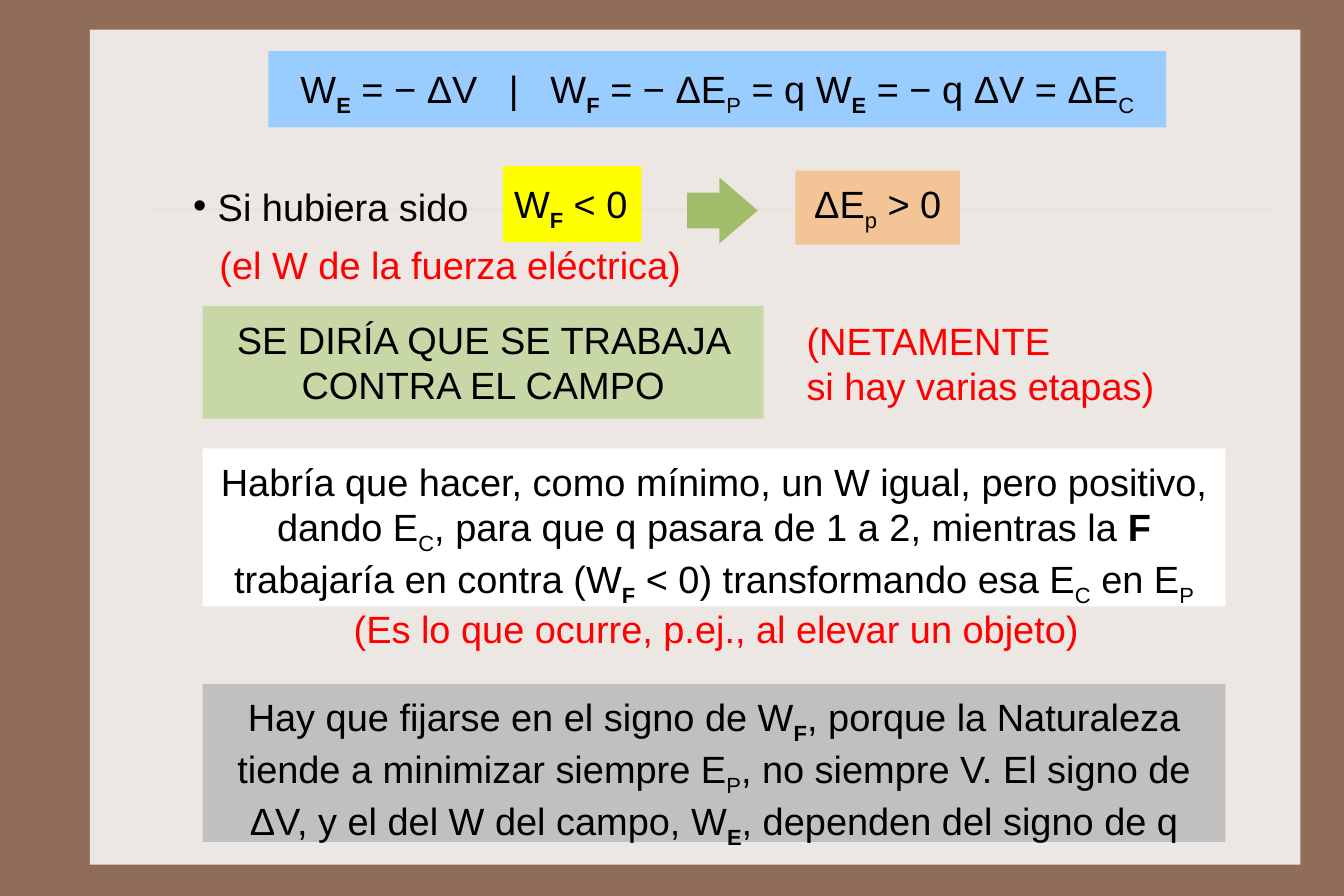
"""Builds the slide on the sign of the work done by the electric force."""
from dataclasses import dataclass
from typing import NamedTuple, Optional

from lxml.etree import SubElement
from pptx import Presentation
from pptx.dml.color import RGBColor
from pptx.enum.shapes import MSO_CONNECTOR, MSO_SHAPE
from pptx.enum.text import MSO_ANCHOR, PP_ALIGN
from pptx.oxml.ns import qn
from pptx.shapes.autoshape import Shape
from pptx.slide import Slide
from pptx.util import Pt


@dataclass(frozen=True)
class Theme:
    """Colours and type of the slide."""
    font: str = "Arial"
    size: float = 24
    ink: str = "000000"
    aside: str = "FF0000"
    frame: str = "906D58"
    paper: str = "EDE7E3"
    rule: str = "CBBD83"
    formula: str = "99CCFF"
    condition: str = "FFFF00"
    result: str = "F3C495"
    arrow: str = "A1BD69"
    conclusion: str = "C7D7A5"
    explanation: str = "FFFFFF"
    warning: str = "C0C0C0"


class Run(NamedTuple):
    """A stretch of text with its own weight and baseline."""
    text: str
    bold: bool = False
    subscript: bool = False


class Box(NamedTuple):
    """Left, top, width and height in points."""
    left: float
    top: float
    width: float
    height: float


@dataclass(frozen=True)
class Statement:
    """A block of text with an optional fill."""
    box: Box
    paragraphs: list[list[Run]]
    fill: Optional[str] = None
    color: str = Theme.ink
    centred: bool = True
    wrap: bool = True
    bullet: bool = False
    margin_x: float = 7.2
    margin_y: float = 6.5


THEME = Theme()
FIELD = Run("E", True, True)
FORCE = Run("F", True, True)
KINETIC = Run("C", False, True)
POTENTIAL = Run("P", False, True)
COLUMN_LEFT, COLUMN_WIDTH, PANEL_HEIGHT = 128.2, 647.3, 100.1
BULLET_INDENT = 15.5

STATEMENTS = [
    Statement(
        Box(COLUMN_LEFT, 283.7, COLUMN_WIDTH, PANEL_HEIGHT),
        [[Run("Habría que hacer, como mínimo, un W igual, pero positivo, dando E"), KINETIC,
          Run(", para que q pasara de 1 a 2, mientras la "), Run("F", True)],
         [Run("trabajaría en contra (W"), FORCE, Run(" < 0) transformando esa E"), KINETIC,
          Run(" en E"), POTENTIAL]],
        THEME.explanation),
    Statement(Box(318.2, 105.1, 87.8, 48.2), [[Run("W"), FORCE, Run(" < 0")]],
              THEME.condition, centred=False, wrap=False, margin_y=9.4),
    Statement(Box(115.2, 112.3, 193, 36.7), [[Run("Si hubiera sido")]],
              centred=False, wrap=False, bullet=True, margin_y=3.6),
    Statement(Box(COLUMN_LEFT, 193.7, 355, 71.3),
              [[Run("SE DIRÍA QUE SE TRABAJA CONTRA EL CAMPO")]], THEME.conclusion),
    Statement(Box(503.3, 194.4, 241.2, 71.3),
              [[Run("(NETAMENTE")], [Run("si hay varias etapas)")]],
              color=THEME.aside, centred=False),
    Statement(Box(178.6, 376.6, 549.4, 42.5),
              [[Run("(Es lo que ocurre, p.ej., al elevar un objeto)")]], color=THEME.aside),
    Statement(Box(503.3, 108, 104.4, 46.8),
              [[Run("ΔE"), Run("p", False, True), Run(" > 0")]], THEME.result, wrap=False),
    Statement(
        Box(169.9, 32.4, 568.1, 48.2),
        [[Run("W"), FIELD, Run(" = − ΔV   |   W"), FORCE, Run(" = − ΔE"), POTENTIAL,
          Run(" = q W"), FIELD, Run(" = − q ΔV = ΔE"), KINETIC]],
        THEME.formula, margin_x=10, margin_y=9.4),
    Statement(
        Box(COLUMN_LEFT, 432.7, COLUMN_WIDTH, PANEL_HEIGHT),
        [[Run("Hay que fijarse en el signo de W"), FORCE,
          Run(", porque la Naturaleza tiende a minimizar siempre E"), POTENTIAL,
          Run(", no siempre V. El signo de ΔV, y el del W del campo, W"), FIELD,
          Run(", dependen del signo de q")]],
        THEME.warning),
    Statement(Box(131.8, 146.2, 310.3, 42.5), [[Run("(el W de la fuerza eléctrica)")]],
              color=THEME.aside, centred=False),
]


def add_filled(slide: Slide, kind: MSO_SHAPE, box: Box, fill: str) -> Shape:
    """Add a flat preset shape without an outline."""
    shape = slide.shapes.add_shape(kind, *map(Pt, box))
    shape.shadow.inherit = False
    shape.fill.solid()
    shape.fill.fore_color.rgb = RGBColor.from_string(fill)
    shape.line.fill.background()
    return shape


def add_rule(slide: Slide, left: float, right: float, top: float) -> None:
    """Add the thin, translucent horizontal rule."""
    rule = slide.shapes.add_connector(
        MSO_CONNECTOR.STRAIGHT, Pt(left), Pt(top), Pt(right), Pt(top))
    rule.line.color.rgb = RGBColor.from_string(THEME.rule)
    rule.line.width = Pt(0.25)
    properties = rule._element.spPr
    SubElement(properties.find(".//" + qn("a:srgbClr")), qn("a:alpha"), val="30000")
    SubElement(properties, qn("a:effectLst"))


def add_statement(slide: Slide, statement: Statement) -> None:
    """Add one statement with its paragraphs and runs."""
    if statement.fill:
        holder = add_filled(slide, MSO_SHAPE.RECTANGLE, statement.box, statement.fill)
    else:
        holder = slide.shapes.add_textbox(*map(Pt, statement.box))
    frame = holder.text_frame
    frame.word_wrap = statement.wrap
    frame.vertical_anchor = MSO_ANCHOR.TOP
    frame.margin_left = frame.margin_right = Pt(statement.margin_x)
    frame.margin_top = frame.margin_bottom = Pt(statement.margin_y)
    for index, runs in enumerate(statement.paragraphs):
        paragraph = frame.add_paragraph() if index else frame.paragraphs[0]
        paragraph.alignment = PP_ALIGN.CENTER if statement.centred else PP_ALIGN.LEFT
        if statement.bullet:
            properties = paragraph._p.get_or_add_pPr()
            properties.set("marL", str(Pt(BULLET_INDENT)))
            properties.set("indent", str(-Pt(BULLET_INDENT)))
            SubElement(properties, qn("a:buFont"), typeface=THEME.font)
            SubElement(properties, qn("a:buChar"), char="•")
        paragraph.font.name = THEME.font
        paragraph.font.size = Pt(THEME.size)
        paragraph.font.color.rgb = RGBColor.from_string(statement.color)
        for part in runs:
            run = paragraph.add_run()
            run.text = part.text
            if part.bold:
                run.font.bold = True
            if part.subscript:
                run._r.get_or_add_rPr().set("baseline", "-25000")


def main() -> None:
    """Build and save the slide."""
    presentation = Presentation()
    presentation.slide_width, presentation.slide_height = Pt(850.5), Pt(567)
    slide = presentation.slides.add_slide(presentation.slide_layouts[6])
    slide.background.fill.solid()
    slide.background.fill.fore_color.rgb = RGBColor.from_string(THEME.frame)
    add_filled(slide, MSO_SHAPE.RECTANGLE, Box(56.9, 18.7, 766.1, 528.5), THEME.paper)
    add_rule(slide, 94.3, 807.8, 132.5)
    for statement in STATEMENTS:
        add_statement(slide, statement)
    arrow = add_filled(slide, MSO_SHAPE.RIGHT_ARROW, Box(434.9, 112.3, 44.6, 41.8), THEME.arrow)
    arrow.adjustments[0], arrow.adjustments[1] = 0.54, 0.58
    presentation.save("out.pptx")


if __name__ == "__main__":
    main()
